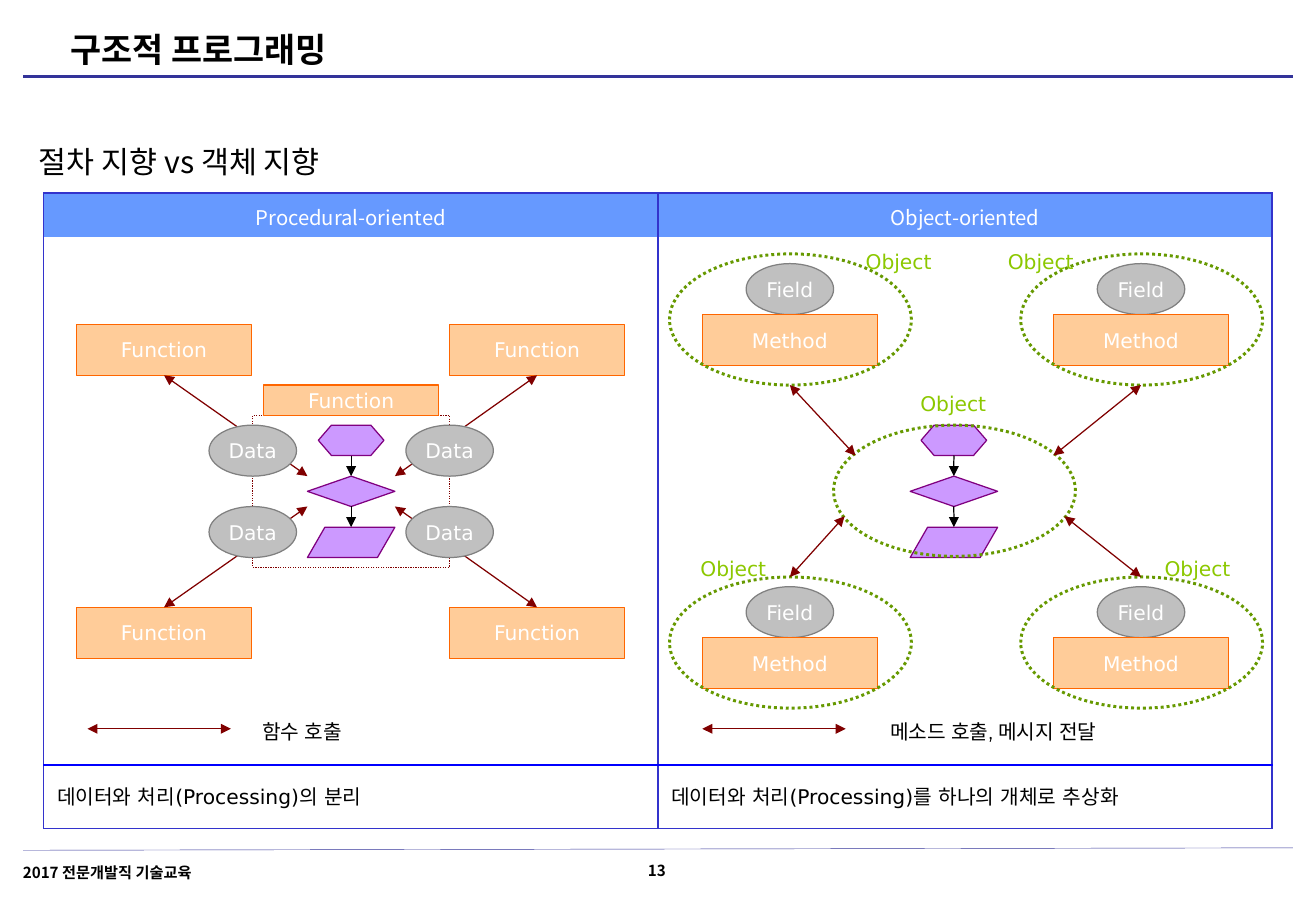
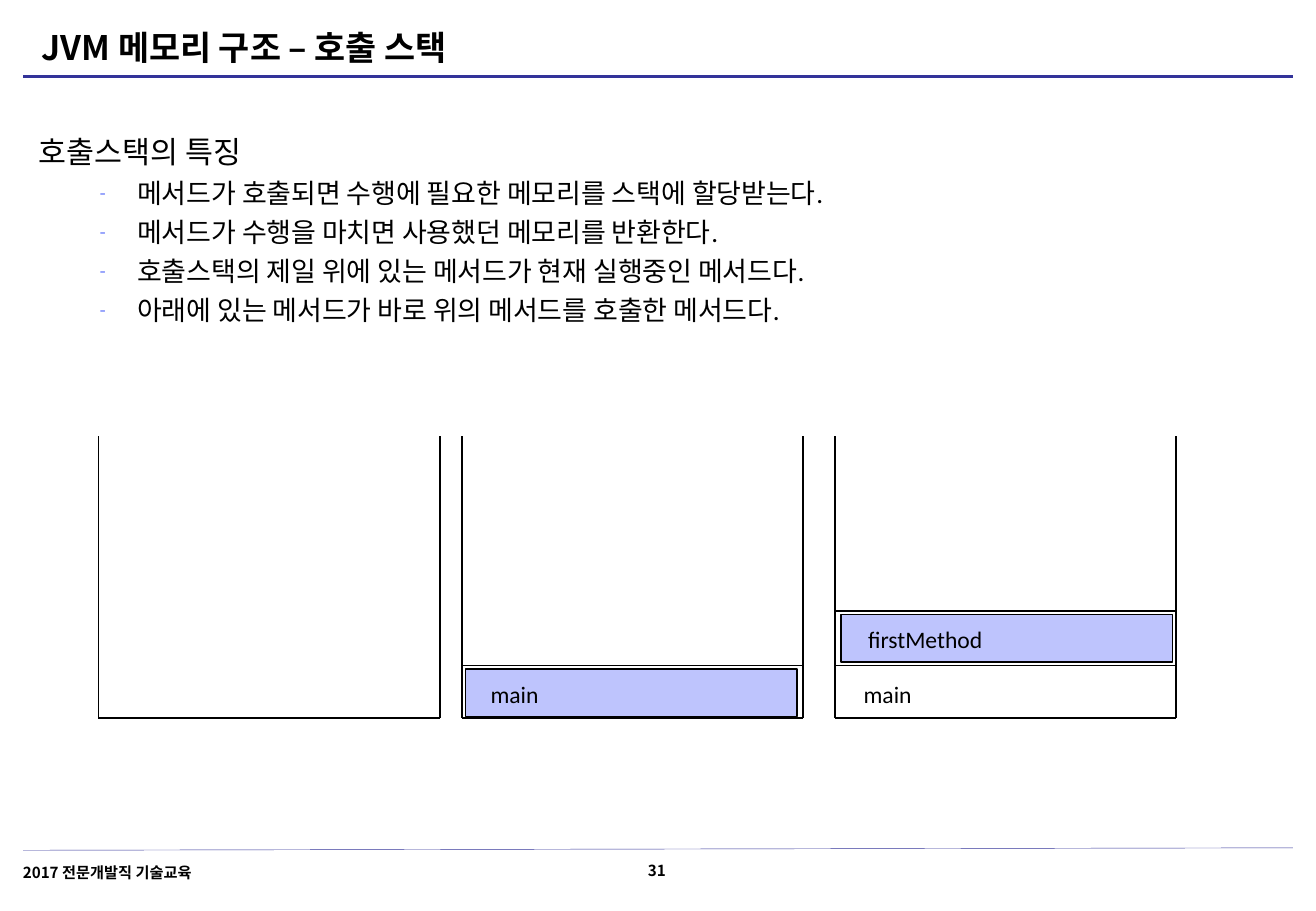
from dataclasses import dataclass

from lxml import etree
from pptx import Presentation
from pptx import util as u
from pptx.dml.color import RGBColor
from pptx.enum import dml, shapes, text
from pptx.oxml import ns

In, Pt = u.Inches, u.Pt
SHAPE = shapes.MSO_SHAPE
ANCHOR = text.MSO_ANCHOR
ALIGN = text.PP_ALIGN


@dataclass(frozen=True)
class Theme:
    # Colours
    black: str = "000000"
    white: str = "FFFFFF"
    rule: str = "333399"
    header: str = "6699FF"
    grid: str = "3333CC"
    divider: str = "0000FF"
    call: str = "800000"
    object_line: str = "669900"
    object_text: str = "8CC800"
    frame: str = "BEC4FD"
    bullet: str = "7889FB"
    box: tuple = ("FFCC99", "FF6600")
    data: tuple = ("C0C0C0", "808080")
    flow: tuple = ("CC99FF", "800080")
    # Fonts
    main: str = "Noto Sans CJK KR"
    label: str = "DejaVu Sans"
    legend: str = "Montserrat"
    latin: str = "Calibri"
    # Type sizes
    title: int = 20
    heading: int = 18
    item: int = 16
    code: int = 14
    small: int = 12
    footer: int = 9


T = Theme()


def rgb(value):
    return RGBColor.from_string(value)


def sub(parent, tag, **attrs):
    el = etree.SubElement(parent, ns.qn(tag))
    for key, value in attrs.items():
        el.set(key, str(value))
    return el


def write(p, words, *, font=T.label, size=T.small, color=T.black, bold=False,
          align=ALIGN.LEFT, spacing=1.0, before=0, left=0, hang=0, bullet=None):
    """Fill one paragraph with one formatted run."""
    p.alignment, p.line_spacing, p.space_before = align, spacing, Pt(before)
    pPr = p._p.get_or_add_pPr()
    pPr.set("marL", str(In(left)))
    pPr.set("indent", str(-In(hang)))
    if bullet:
        sub(sub(pPr, "a:buClr"), "a:srgbClr", val=T.bullet)
        sub(pPr, "a:buSzPct", val=70000)
        sub(pPr, "a:buChar", char=bullet)
    else:
        sub(pPr, "a:buNone")
    r = p.add_run()
    r.text = words
    r.font.name, r.font.size, r.font.bold = font, Pt(size), bold
    r.font.color.rgb = rgb(color)
    sub(r._r.get_or_add_rPr(), "a:ea", typeface=font)


class Deck:
    def __init__(self):
        self.prs = Presentation()
        self.prs.slide_width, self.prs.slide_height = In(10.83), In(7.5)
        self.s = None

    def new_slide(self, number):
        """Start a slide with the shared rules and footer."""
        self.s = self.prs.slides.add_slide(self.prs.slide_layouts[1])
        self.line((0.19, 7), (10.64, 6.98), T.rule, 0.25)
        self.line((0.19, 0.63), (10.64, 0.63), T.rule, 2)
        footer = dict(font=T.main, size=T.footer, bold=True)
        self.text((0.09, 7.04, 2.96, 0.27), "2017 전문개발직 기술교육",
                  wrap=True, spacing=1.1, **footer)
        self.text((4.99, 7.05, 0.83, 0.24), number, wrap=True, grow=False,
                  anchor=ANCHOR.BOTTOM, align=ALIGN.CENTER, **footer)

    def place(self, sp, at):
        sp.left, sp.top, sp.width, sp.height = map(In, at)

    def frame(self, tf, anchor=ANCHOR.TOP, wrap=False, grow=False, margins=(0.1, 0.05)):
        tf.word_wrap, tf.vertical_anchor = wrap, anchor
        tf.auto_size = (text.MSO_AUTO_SIZE.SHAPE_TO_FIT_TEXT if grow
                        else text.MSO_AUTO_SIZE.NONE)
        tf.margin_left = tf.margin_right = In(margins[0])
        tf.margin_top = tf.margin_bottom = In(margins[1])

    def title(self, at, words, anchor):
        sp = self.s.shapes.title
        self.place(sp, at)
        self.frame(sp.text_frame, anchor, wrap=True, grow=True)
        write(sp.text_frame.paragraphs[0], words, font=T.main, size=T.title, bold=True)

    def body(self, at, heading, items=()):
        sp = self.s.placeholders[1]
        self.place(sp, at)
        tf = sp.text_frame
        self.frame(tf, wrap=True, margins=(0.07, 0.03))
        write(tf.paragraphs[0], heading, font=T.main, size=T.heading, left=0.38, hang=0.38)
        for item in items:
            p = tf.add_paragraph()
            p.level = 1
            write(p, item, font=T.latin, size=T.item, spacing=1.04, before=3.2,
                  left=0.81, hang=0.31, bullet="-")

    def text(self, at, words, anchor=ANCHOR.TOP, wrap=False, grow=True, **fmt):
        tf = self.s.shapes.add_textbox(*map(In, at)).text_frame
        self.frame(tf, anchor, wrap, grow)
        write(tf.paragraphs[0], words, **fmt)

    def shape(self, kind, at, fill=None, line=T.black, width=0.75, dotted=False, words=None):
        sp = self.s.shapes.add_shape(kind, *map(In, at))
        sp.shadow.inherit = False
        if fill:
            sp.fill.solid()
            sp.fill.fore_color.rgb = rgb(fill)
        else:
            sp.fill.background()
        sp.line.color.rgb, sp.line.width = rgb(line), Pt(width)
        if dotted:
            sp.line.dash_style = dml.MSO_LINE.ROUND_DOT
        if words:
            self.frame(sp.text_frame, ANCHOR.MIDDLE)
            write(sp.text_frame.paragraphs[0], words, color=T.white, align=ALIGN.CENTER)
        return sp

    def line(self, start, end, color=T.black, width=1, heads="", begin=None, finish=None):
        """heads: '>' for an arrow, '<>' for a two-way arrow."""
        c = self.s.shapes.add_connector(shapes.MSO_CONNECTOR.STRAIGHT,
                                        *map(In, (*start, *end)))
        if begin:
            c.begin_connect(*begin)
        if finish:
            c.end_connect(*finish)
        c.line.color.rgb, c.line.width = rgb(color), Pt(width)
        ln = c.line._get_or_add_ln()
        for mark, tag in (("<", "a:headEnd"), (">", "a:tailEnd")):
            if mark in heads:
                sub(ln, tag, type="triangle")
        sub(c._element.spPr, "a:effectLst")

    def call(self, start, end, begin=None):
        self.line(start, end, T.call, 0.75, "<>", begin)

    def table(self, at, heights, rows, fills, styles):
        tb = self.s.shapes.add_table(len(rows), len(rows[0]), *map(In, at)).table
        tb.first_row = tb.horz_banding = False
        edges = [(T.grid, None), (None, T.divider), (T.divider, T.grid)]
        for i, row in enumerate(rows):
            tb.rows[i].height = In(heights[i])
            for j, words in enumerate(row):
                cell = tb.cell(i, j)
                cell.margin_left = cell.margin_right = In(0.11)
                cell.vertical_anchor = ANCHOR.MIDDLE if i == 2 else ANCHOR.TOP
                if words:
                    write(cell.text_frame.paragraphs[0], words, spacing=1.1, **styles[i])
                self.borders(cell, T.grid, T.grid, *edges[i])
                cell.fill.solid()
                cell.fill.fore_color.rgb = rgb(fills[i])

    def borders(self, cell, *colors):
        tcPr = cell._tc.get_or_add_tcPr()
        for side, color in zip("LRTB", colors):
            ln = sub(tcPr, f"a:ln{side}", w=Pt(1))
            if color:
                sub(sub(ln, "a:solidFill"), "a:srgbClr", val=color)
            else:
                sub(ln, "a:noFill")

    def box(self, x, y, words, height=0.42):
        return self.shape(SHAPE.RECTANGLE, (x, y, 1.44, height), *T.box, words=words)

    def oval(self, x, y, words):
        self.shape(SHAPE.OVAL, (x, y, 0.72, 0.42), *T.data, words=words)

    def flowchart(self, cx):
        """Preparation, decision and output steps centred on cx."""
        kinds = (SHAPE.FLOWCHART_PREPARATION, SHAPE.FLOWCHART_DECISION, SHAPE.FLOWCHART_DATA)
        widths = (0.54, 0.72, 0.72)
        prep, choice, _ = [
            self.shape(kind, (cx - w / 2, 3.5 + 0.42 * i, w, 0.25), *T.flow)
            for i, (kind, w) in enumerate(zip(kinds, widths))]
        self.line((cx, 3.75), (cx, 3.92), width=0.75, heads=">",
                  begin=(prep, 2), finish=(choice, 0))
        self.line((cx, 4.17), (cx, 4.34), width=0.75, heads=">", begin=(choice, 2))

    def stack(self, x, levels=(), active=None):
        """Open-topped call stack; levels are (divider y, method, text x, text width)."""
        right, top, bottom = x + 2.81, 3.59, 5.91
        if active:
            self.shape(SHAPE.RECTANGLE, (*active, 2.73, 0.39), T.frame, width=1)
        for start, end in (((x, top), (x, bottom)), ((x, bottom), (right, bottom)),
                           ((right, top), (right, bottom))):
            self.line(start, end)
        for y, method, dx, width in levels:
            self.line((x, y), (right, y))
            self.text((x + dx, y + 0.06, width, 0.34), method, ANCHOR.MIDDLE,
                      font=T.latin, size=T.code, align=ALIGN.CENTER)


def comparison_slide(d):
    d.new_slide("13")
    d.title((0.48, 0.18, 5.06, 0.44), "구조적 프로그래밍", ANCHOR.BOTTOM)
    d.body((0.25, 1.15, 10.41, 1.87), "절차 지향 vs 객체 지향")
    d.table((0.36, 1.59, 10.11, 5.23), (0.36, 4.35, 0.52),
            [("Procedural-oriented", "Object-oriented"), ("", ""),
             ("데이터와 처리(Processing)의 분리",
              "데이터와 처리(Processing)를 하나의 개체로 추상화")],
            (T.header, T.white, T.white),
            (dict(font=T.main, color=T.white, align=ALIGN.CENTER), {}, {}))

    # Procedural side: functions sharing data
    d.shape(SHAPE.RECTANGLE, (2.08, 3.42, 1.62, 1.25), line=T.call, dotted=True)
    d.flowchart(2.89)
    for x, tip_x in ((0.63, 2.53), (3.7, 3.25)):
        for y, edge_y, side, tip_y in ((2.67, 3.09, 2, 3.92), (5, 5, 0, 4.17)):
            fn = d.box(x, y, "Function")
            d.call((x + 0.72, edge_y), (tip_x, tip_y), begin=(fn, side))
    for x in (1.72, 3.34):
        for y in (3.5, 4.17):
            d.oval(x, y, "Data")
    d.box(2.17, 3.17, "Function", 0.25)

    # Object side: objects exchanging messages
    d.flowchart(7.85)
    outlines = [(x, y) for x in (5.51, 8.4) for y in (2.09, 4.75)]
    for x, y in outlines:
        d.oval(x + 0.63, y + 0.08, "Field")
        d.box(x + 0.27, y + 0.5, "Method")
    for x, y in outlines + [(6.86, 3.5)]:
        d.shape(SHAPE.OVAL, (x, y, 1.99, 1.08), line=T.object_line, width=1.75, dotted=True)
    for x, y in ((7.47, 3.17), (8.19, 2), (7.02, 2), (5.66, 4.53), (9.48, 4.53)):
        d.text((x, y, 0.75, 0.3), "Object", color=T.object_text, align=ALIGN.CENTER)
    for start, end in (((6.5, 3.17), (7.04, 3.75)), ((6.95, 4.25), (6.5, 4.75)),
                       ((9.39, 4.75), (8.76, 4.25)), ((9.39, 3.17), (8.67, 3.75))):
        d.call(start, end)

    # Legends
    for x, text_x, width, words in ((0.72, 2.02, 0.93, "함수 호출"),
                                    (5.78, 7.12, 2.11, "메소드 호출, 메시지 전달")):
        d.call((x, 6), (x + 1.18, 6))
        d.text((text_x, 5.87, width, 0.3), words, font=T.legend, align=ALIGN.CENTER)


def call_stack_slide(d):
    d.new_slide("31")
    d.title((0.24, 0.17, 8.59, 0.44), "JVM 메모리 구조 – 호출 스택", ANCHOR.MIDDLE)
    d.body((0.25, 1.07, 10.41, 2.03), "호출스택의 특징", (
        "메서드가 호출되면 수행에 필요한 메모리를 스택에 할당받는다.",
        "메서드가 수행을 마치면 사용했던 메모리를 반환한다.",
        "호출스택의 제일 위에 있는 메서드가 현재 실행중인 메서드다.",
        "아래에 있는 메서드가 바로 위의 메서드를 호출한 메서드다."))

    # Stack as calls are made
    main = (5.48, "main", 0.12, 0.63)
    first = (5.03, "firstMethod", 0.16, 1.17)
    d.stack(0.81)
    d.stack(3.8, [main], active=(3.83, 5.51))
    d.stack(6.87, [main, first], active=(6.92, 5.06))


def main():
    d = Deck()
    comparison_slide(d)
    call_stack_slide(d)
    d.prs.save("out.pptx")


if __name__ == "__main__":
    main()
